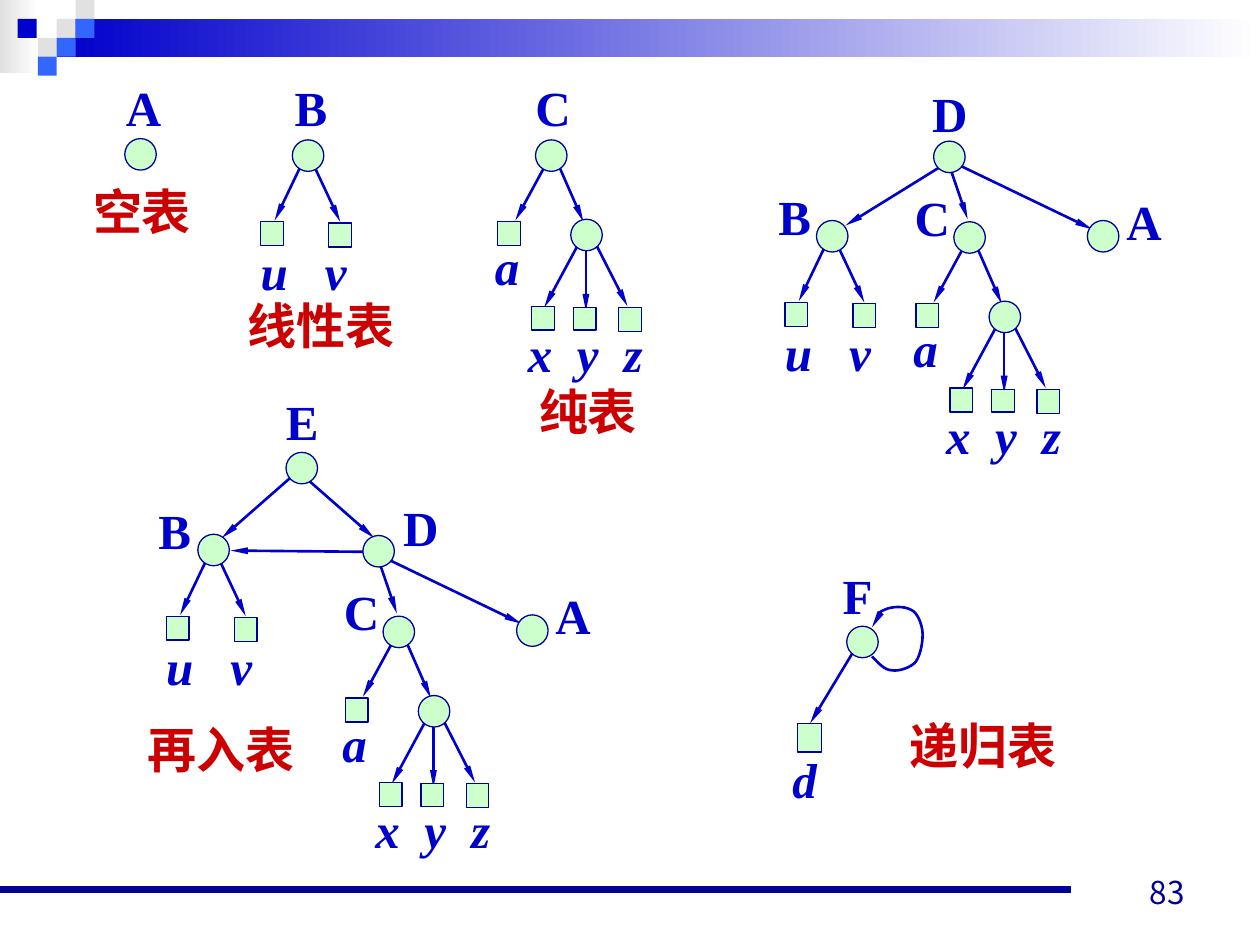
"""Builds a slide of generalized lists drawn as trees: empty, linear, pure, re-entrant and recursive."""
from dataclasses import dataclass, field

from lxml.etree import SubElement
from pptx import Presentation
from pptx.dml.color import RGBColor
from pptx.enum.shapes import MSO_CONNECTOR as Connector, MSO_SHAPE as Preset
from pptx.enum.text import MSO_ANCHOR as Anchor, MSO_AUTO_SIZE as AutoSize, PP_ALIGN as Align
from pptx.oxml.ns import qn
from pptx.util import Pt


@dataclass
class Tree:
    edges: list = field(default_factory=list)
    leaves: list = field(default_factory=list)
    texts: list = field(default_factory=list)
    children: list = field(default_factory=list)


class Theme:
    blue, navy, sky = "0000CC", "000099", "3366FF"
    green, red, grey, white = "CCFFCC", "CC0000", "E1E1E1", "FFFFFF"
    latin, cjk = "Times New Roman", "Noto Sans CJK JP"
    label, number = 28, 18
    edge, outline, rule = 1.5, 0.75, 4.5


PX = 9144
NODE = 25
TEXT_HEIGHT = 57
TREES = {
    "A": Tree(),
    "B": Tree(
        edges=[(16, 18, 38, 65), (8, 18, -14, 64)],
        leaves=[(-25, 65, 18, 19), (29, 66, 18, 19)],
        texts=[("u\tv", -35, 76)],
    ),
    "xyz": Tree(
        edges=[(12, 10, 12, 73), (19, 18, 45, 69), (7, 18, -21, 70)],
        leaves=[(-31, 69, 18, 19), (2, 70, 18, 18), (38, 70, 18, 19)],
        texts=[("x\ty\tz", -44, 78)],
    ),
    "C": Tree(
        edges=[(17, 17, 38, 65), (9, 18, -16, 64)],
        leaves=[(-30, 65, 18, 19)],
        texts=[("a", -42, 72)],
        children=[("xyz", 28, 63, None)],
    ),
    "D": Tree(
        edges=[(13, 21, 27, 62), (20, 19, 126, 70)],
        children=[("C", 16, 64, (-41, -32)), ("A", 122, 63, (21, -28))],
    ),
    "E": Tree(edges=[(13, 18, 70, 68), (6, 18, -51, 68), (68, 79, -44, 78)]),
    "F": Tree(
        edges=[(6, 19, -29, 77)],
        leaves=[(-39, 77, 19, 23)],
        texts=[("d", -53, 93)],
    ),
}
FIGURES = [
    ("A", 99, 110, (-9, -53)),
    ("B", 232, 111, (-8, -54)),
    ("C", 425, 111, (-10, -54)),
    ("D", 741, 112, (-11, -51)),
    ("B", 648, 175, (-40, -32)),
    ("E", 227, 359, (-10, -53)),
    ("B", 157, 424, (-41, -32)),
    ("D", 288, 425, (22, -35)),
    ("F", 672, 497, (-13, -53)),
]
D_TO_B = (747, 132, 671, 179)
KINDS = [("空表", 64, 139), ("线性表", 187, 230), ("再入表", 107, 566),
         ("纯表", 418, 298), ("递归表", 712, 563)]
WIDTHS = {"A": 48, "B": 46, "C": 48, "D": 48, "E": 46, "F": 44, "a": 40, "d": 40,
          "u\tv": 88, "x\ty\tz": 111, "空表": 98, "纯表": 98,
          "线性表": 137, "再入表": 137, "递归表": 137}
TABS = {"u\tv": [51], "x\ty\tz": [39, 76]}
LOOP = [(692, 521), (697, 526), (702, 532), (708, 532), (713, 533), (723, 530), (727, 525),
        (731, 519), (733, 507), (732, 500), (731, 494), (728, 486), (723, 484),
        (718, 481), (708, 481), (702, 484), (697, 486), (694, 495), (692, 498)]
BANDS = [(0, 0, 31, 58, Theme.grey), (45, 15, 955, 30, Theme.blue)]
TILES = [(45, 15, Theme.grey), (60, 0, Theme.grey), (60, 15, Theme.sky), (30, 30, Theme.grey),
         (14, 15, Theme.blue), (45, 30, Theme.sky), (30, 45, Theme.sky)]


def px(*lengths):
    return [length * PX for length in lengths]


def rgb(code):
    return RGBColor.from_string(code)


def add_block(slide, preset, box, fill=None, line=None):
    shape = slide.shapes.add_shape(preset, *px(*box))
    shape.shadow.inherit = False
    if fill:
        shape.fill.solid()
        shape.fill.fore_color.rgb = rgb(fill)
    if line:
        shape.line.color.rgb = rgb(line)
        shape.line.width = Pt(Theme.outline)
    else:
        shape.line.fill.background()
    return shape


def add_band(slide, x, y, width, height, color):
    fill = add_block(slide, Preset.RECTANGLE, (x, y, width, height)).fill
    fill.gradient()
    fill.gradient_angle = 0
    for stop, code in zip(fill.gradient_stops, (color, Theme.white)):
        stop.color.rgb = rgb(code)


def style_line(line, color, width, arrow):
    line.color.rgb = rgb(color)
    line.width = Pt(width)
    if arrow:
        SubElement(line._get_or_add_ln(), qn("a:tailEnd"), type="triangle", w="sm", len="lg")


def add_line(slide, ends, color=Theme.blue, width=Theme.edge, arrow=True):
    connector = slide.shapes.add_connector(Connector.STRAIGHT, *px(*ends))
    style_line(connector.line, color, width, arrow)
    SubElement(connector._element.spPr, qn("a:effectLst"))


def add_text(slide, text, box, color, size, font, bold=False, italic=False):
    frame = slide.shapes.add_textbox(*px(*box)).text_frame
    para = frame.paragraphs[0]
    if text in TABS:
        stops = SubElement(para._p.get_or_add_pPr(), qn("a:tabLst"))
        for stop in TABS[text]:
            SubElement(stops, qn("a:tab"), pos=str(stop * PX), algn="l")
    span = para.add_run()
    span.text = text
    span.font.size = Pt(size)
    span.font.bold = bold
    span.font.italic = italic
    span.font.color.rgb = rgb(color)
    span.font.name = font
    SubElement(span._r.get_or_add_rPr(), qn("a:ea"), typeface=Theme.cjk)
    return frame


def add_label(slide, text, x, y, color=Theme.blue, italic=False):
    box = (x, y, WIDTHS[text], TEXT_HEIGHT)
    frame = add_text(slide, text, box, color, Theme.label, Theme.latin, True, italic)
    frame.word_wrap = False
    frame.auto_size = AutoSize.SHAPE_TO_FIT_TEXT


def add_tree(slide, name, x, y, label):
    tree = TREES[name]
    for x1, y1, x2, y2 in tree.edges:
        add_line(slide, (x + x1, y + y1, x + x2, y + y2))
    add_block(slide, Preset.OVAL, (x, y, NODE, NODE), Theme.green, Theme.navy)
    for dx, dy, width, height in tree.leaves:
        add_block(slide, Preset.RECTANGLE, (x + dx, y + dy, width, height), Theme.green, Theme.navy)
    for text, dx, dy in tree.texts:
        add_label(slide, text, x + dx, y + dy, italic=True)
    if label:
        add_label(slide, name, x + label[0], y + label[1])
    for child, dx, dy, child_label in tree.children:
        add_tree(slide, child, x + dx, y + dy, child_label)


def add_loop(slide, points):
    builder = slide.shapes.build_freeform(*points[0], scale=PX)
    builder.add_line_segments(points[1:], close=False)
    shape = builder.convert_to_shape()
    shape.shadow.inherit = False
    shape.fill.background()
    style_line(shape.line, Theme.blue, Theme.edge, True)
    outline = shape._element.find(".//" + qn("a:path"))
    steps = outline.findall(qn("a:lnTo"))
    for start in range(0, len(steps), 3):
        curve = SubElement(outline, qn("a:cubicBezTo"))
        for step in steps[start:start + 3]:
            curve.append(step[0])
            outline.remove(step)


def main():
    deck = Presentation()
    deck.slide_width, deck.slide_height = px(1000, 750)
    slide = deck.slides.add_slide(deck.slide_layouts[6])
    for band in BANDS:
        add_band(slide, *band)
    for x, y, color in TILES:
        add_block(slide, Preset.RECTANGLE, (x, y, 15, 15), color)
    add_line(slide, (0, 706, 850, 706), Theme.navy, Theme.rule, arrow=False)
    number = add_text(slide, "83", (717, 678, 233, 50), Theme.navy, Theme.number, Theme.cjk)
    number.word_wrap = True
    number.vertical_anchor = Anchor.BOTTOM
    number.paragraphs[0].alignment = Align.RIGHT
    add_line(slide, D_TO_B)
    for figure in FIGURES:
        add_tree(slide, *figure)
    add_loop(slide, LOOP)
    for text, x, y in KINDS:
        add_label(slide, text, x, y, Theme.red)
    deck.save("out.pptx")


if __name__ == "__main__":
    main()
